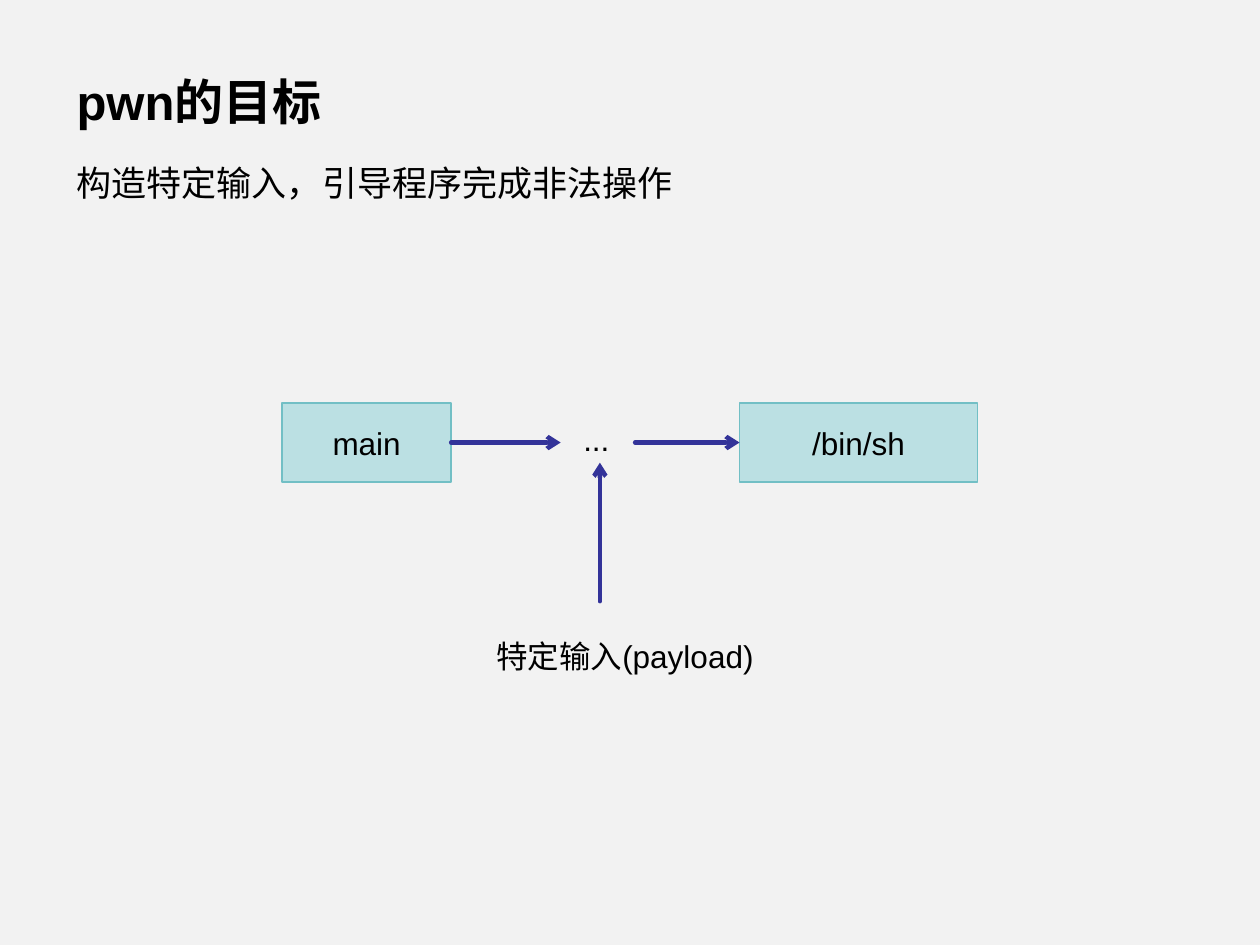
import pptx
import pptx.util
import pptx.dml.color
import pptx.enum.shapes
import pptx.enum.text
import pptx.oxml
import pptx.oxml.ns
from dataclasses import dataclass

Pt = pptx.util.Pt
Align = pptx.enum.text.PP_ALIGN
Anchor = pptx.enum.text.MSO_ANCHOR


def color(code):
    return pptx.dml.color.RGBColor.from_string(code)


def style(item, values):
    for name, value in values.items():
        setattr(item, name, value)


@dataclass
class Theme:
    font: str = "Arial"
    back: str = "F2F2F2"
    ink: str = "000000"
    box: str = "BBE0E3"
    edge: str = "72BFC5"
    arrow: str = "333399"
    title: int = 28
    lead: int = 20
    label: int = 18
    thin: float = 1
    thick: float = 2.5


class Deck:
    def __init__(self, theme, width, height):
        self.theme = theme
        self.show = pptx.Presentation()
        style(self.show, {"slide_width": Pt(width), "slide_height": Pt(height)})
        self.slide = self.show.slides.add_slide(self.show.slide_layouts[6])
        fill = self.slide.background.fill
        fill.solid()
        fill.fore_color.rgb = color(theme.back)

    def letter(self, shape, words, size, bold=False, align=Align.LEFT, anchor=Anchor.TOP):
        frame = shape.text_frame
        para = frame.paragraphs[0]
        run = para.add_run()
        run.text = words
        style(frame, {"word_wrap": True, "vertical_anchor": anchor})
        style(para, {"alignment": align})
        style(run.font, {"name": self.theme.font, "size": Pt(size), "bold": bold})
        run.font.color.rgb = color(self.theme.ink)

    def text(self, words, place, size, bold=False):
        shape = self.slide.shapes.add_textbox(*map(Pt, place))
        self.letter(shape, words, size, bold)

    def box(self, words, place):
        shape = self.slide.shapes.add_shape(
            pptx.enum.shapes.MSO_SHAPE.RECTANGLE, *map(Pt, place))
        shape.shadow.inherit = False
        shape.fill.solid()
        shape.fill.fore_color.rgb = color(self.theme.box)
        shape.line.color.rgb = color(self.theme.edge)
        shape.line.width = Pt(self.theme.thin)
        self.letter(shape, words, self.theme.label, align=Align.CENTER, anchor=Anchor.MIDDLE)

    def arrow(self, start, end):
        link = self.slide.shapes.add_connector(
            pptx.enum.shapes.MSO_CONNECTOR.STRAIGHT, *map(Pt, start + end))
        link.line.color.rgb = color(self.theme.arrow)
        link.line.width = Pt(self.theme.thick)
        # Open arrowhead, round cap, no shadow
        props = link._element.spPr
        line = props.find(pptx.oxml.ns.qn("a:ln"))
        line.set("cap", "rnd")
        space = pptx.oxml.ns.nsdecls("a")
        line.append(pptx.oxml.parse_xml(f'<a:tailEnd {space} type="arrow"/>'))
        props.append(pptx.oxml.parse_xml(f"<a:effectLst {space}/>"))


def main():
    theme = Theme()
    deck = Deck(theme, 720, 540)

    # Heading
    left = 36.7
    deck.text("pwn的目标", (left, 37.4, 240, 41), theme.title, bold=True)
    deck.text("构造特定输入，引导程序完成非法操作", (left, 88.5, 538, 114), theme.lead)

    # Program flow
    top, height = 230.4, 45
    middle = top + height / 2
    first, last = 161.3, 422.6
    width = 96.5
    deck.box("main", (first, top, width, height))
    deck.box("/bin/sh", (last, top, 136, height))
    deck.arrow((first + width, middle), (320.4, middle))
    deck.arrow((362.9, middle), (last, middle))
    deck.text("...", (326.2, 236.2, 34.6, 29), theme.label)

    # Payload entering the flow
    stem = 342.8
    deck.arrow((stem, 343.6), (stem, 264.4))
    deck.text("特定输入(payload)", (276.5, 360.7, 240, 29), theme.label)

    deck.show.save("out.pptx")


if __name__ == "__main__":
    main()
